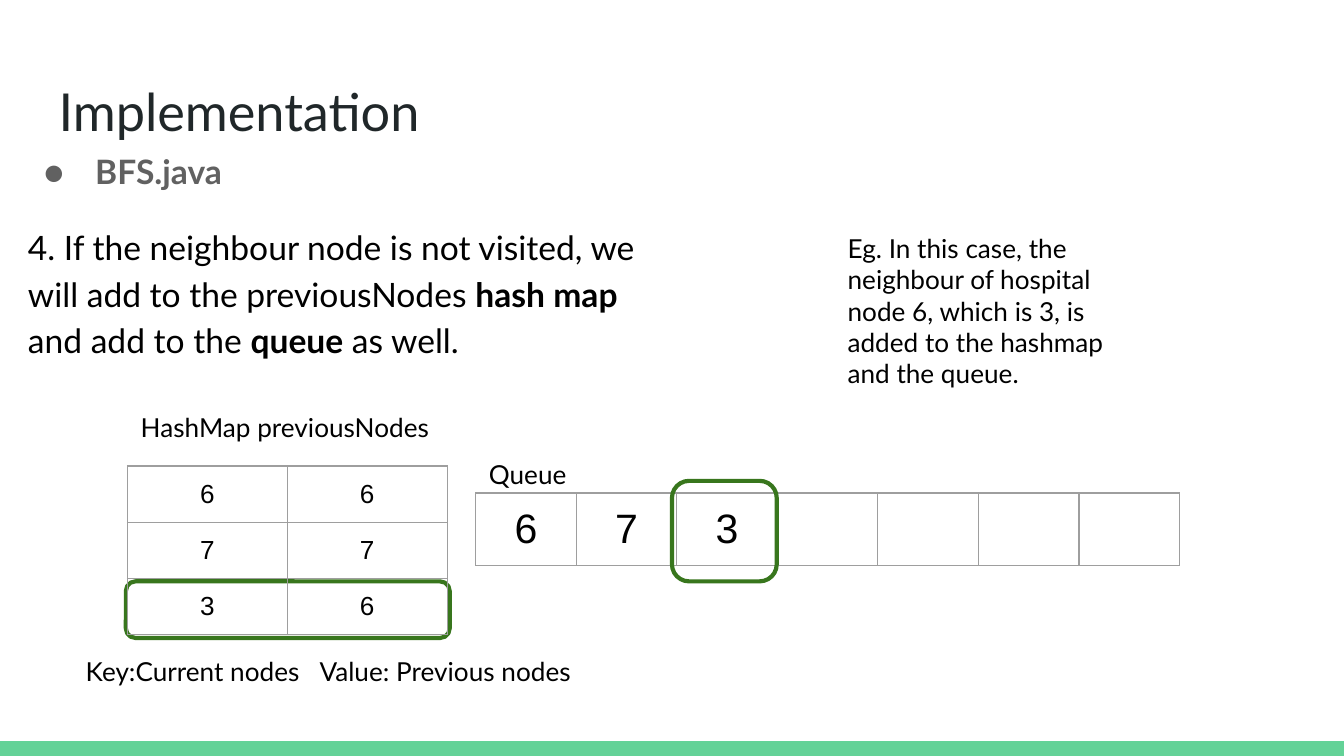
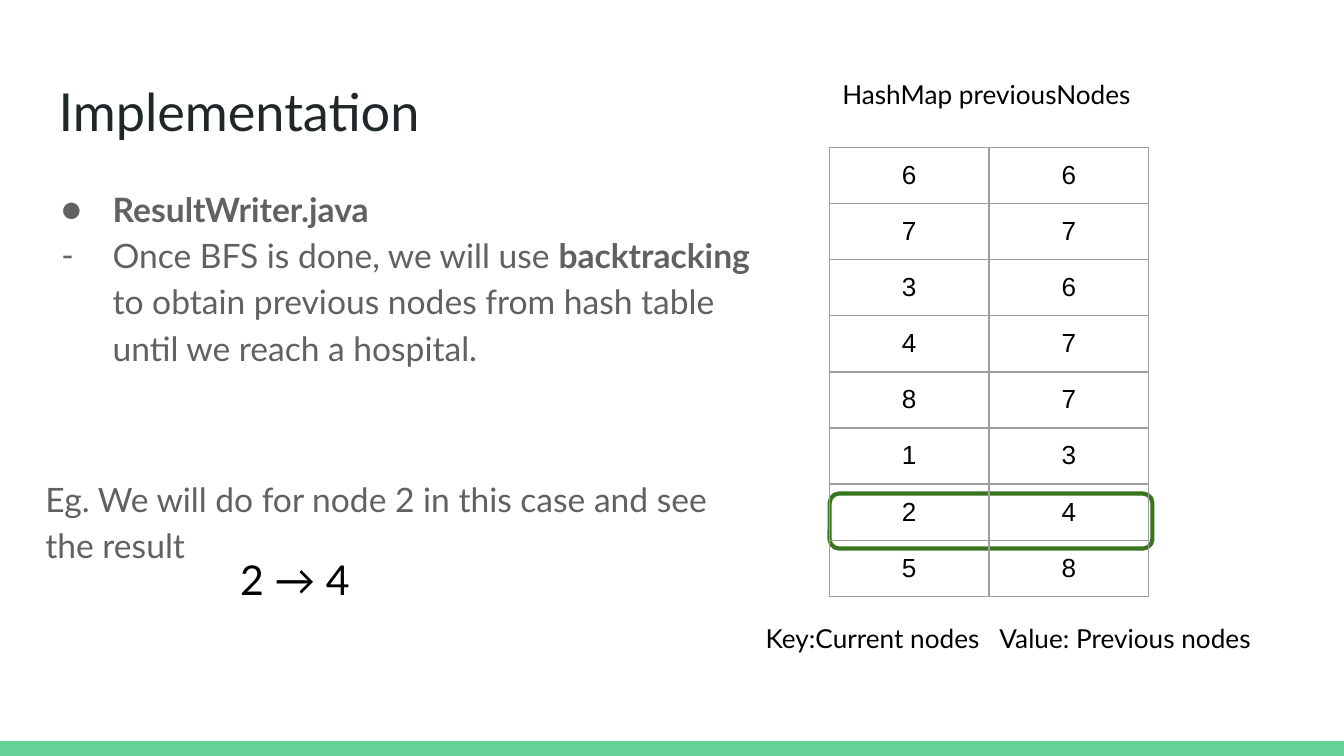
from dataclasses import dataclass
from typing import Any

from lxml import etree
from pptx import Presentation
from pptx import util as u
from pptx.dml.color import RGBColor
from pptx.enum import shapes, text
from pptx.oxml import ns

COLORS = {
    "bar": "63D297",
    "title": "202729",
    "body": "616161",
    "ink": "000000",
    "grid": "9E9E9E",
    "mark": "38761D",
}
BODY_FONT, TABLE_FONT = "Lato", "Arial"
SLIDE_W, SLIDE_H, BAR_H = 25.4, 14.29, 0.28
INSET = u.Cm(0.25)
FRAME = {
    "word_wrap": True,
    "auto_size": text.MSO_AUTO_SIZE.NONE,
    "vertical_anchor": text.MSO_ANCHOR.TOP,
    "margin_left": INSET,
    "margin_right": INSET,
    "margin_top": INSET,
    "margin_bottom": INSET,
}
CELL = {k: v for k, v in FRAME.items() if k.startswith("margin") or k == "vertical_anchor"}
PAIR_COL, PAIR_ROW = 3.02, 1.06


@dataclass(frozen=True)
class Box:
    x: float
    y: float
    w: float
    h: float

    def lengths(self) -> list[u.Length]:
        return [u.Cm(v) for v in (self.x, self.y, self.w, self.h)]


@dataclass(frozen=True)
class Para:
    words: str
    color: str = "ink"
    bullet: str = ""
    before: float = 0


@dataclass(frozen=True)
class TextBlock:
    box: Box
    paras: tuple[Para, ...]
    size: float = 14
    spacing: float = 1.0


@dataclass(frozen=True)
class Grid:
    x: float
    y: float
    col_w: float
    row_h: float
    rows: tuple[str, ...]
    size: float = 14


@dataclass(frozen=True)
class Mark:
    box: Box


@dataclass(frozen=True)
class Page:
    title: Box
    items: tuple[TextBlock | Grid | Mark, ...]


def rgb(name: str) -> RGBColor:
    return RGBColor.from_string(COLORS[name])


def apply(target: Any, values: dict[str, Any]) -> None:
    for name, value in values.items():
        setattr(target, name, value)


def set_font(font: Any, size: float, color: str, name: str = BODY_FONT, bold: bool = False) -> None:
    apply(font, {"size": u.Pt(size), "name": name, "bold": bold})
    font.color.rgb = rgb(color)


def place(sp: Any, box: Box) -> None:
    apply(sp, dict(zip(("left", "top", "width", "height"), box.lengths())))


def add_bullet(p: Any, char: str, color: str) -> None:
    pPr = p._p.get_or_add_pPr()
    pPr.set("marL", str(u.Cm(1.27)))
    pPr.set("indent", str(u.Cm(-0.97)))
    clr = etree.SubElement(pPr, ns.qn("a:buClr"))
    etree.SubElement(clr, ns.qn("a:srgbClr"), val=COLORS[color])
    etree.SubElement(pPr, ns.qn("a:buFont"), typeface=BODY_FONT)
    etree.SubElement(pPr, ns.qn("a:buChar"), char=char)


def add_text(s: Any, block: TextBlock) -> None:
    tf = s.shapes.add_textbox(*block.box.lengths()).text_frame
    apply(tf, FRAME)
    for i, para in enumerate(block.paras):
        p = tf.add_paragraph() if i else tf.paragraphs[0]
        if para.bullet:
            add_bullet(p, para.bullet, para.color)
        apply(p, {"line_spacing": block.spacing, "space_before": u.Pt(para.before)})
        for j, part in enumerate(para.words.split("**")):
            if part:
                r = p.add_run()
                r.text = part
                set_font(r.font, block.size, para.color, bold=j % 2 == 1)


def add_borders(cell: Any) -> None:
    tcPr = cell._tc.get_or_add_tcPr()
    for side in ("lnL", "lnR", "lnT", "lnB"):
        ln = etree.SubElement(tcPr, ns.qn(f"a:{side}"), w=str(u.Pt(0.75)))
        fill = etree.SubElement(ln, ns.qn("a:solidFill"))
        etree.SubElement(fill, ns.qn("a:srgbClr"), val=COLORS["grid"])


def add_grid(s: Any, grid: Grid) -> None:
    rows = [row.split("|") for row in grid.rows]
    n_rows, n_cols = len(rows), len(rows[0])
    box = Box(grid.x, grid.y, grid.col_w * n_cols, grid.row_h * n_rows)
    table = s.shapes.add_table(n_rows, n_cols, *box.lengths()).table
    apply(table, {"first_row": False, "horz_banding": False})
    for col in table.columns:
        col.width = u.Cm(grid.col_w)
    for row, values in zip(table.rows, rows):
        row.height = u.Cm(grid.row_h)
        for cell, value in zip(row.cells, values):
            apply(cell, CELL)
            add_borders(cell)
            cell.fill.background()
            p = cell.text_frame.paragraphs[0]
            p.alignment = text.PP_ALIGN.CENTER
            if value:
                r = p.add_run()
                r.text = value
                set_font(r.font, grid.size, "ink", TABLE_FONT)


def add_mark(s: Any, mark: Mark) -> None:
    sp = s.shapes.add_shape(shapes.MSO_SHAPE.ROUNDED_RECTANGLE, *mark.box.lengths())
    sp.shadow.inherit = False
    sp.adjustments[0] = 0.17
    sp.fill.background()
    sp.line.color.rgb = rgb("mark")
    sp.line.width = u.Pt(2.25)


def add_title(s: Any, box: Box) -> None:
    sp = s.shapes.title
    place(sp, box)
    tf = sp.text_frame
    apply(tf, FRAME)
    p = tf.paragraphs[0]
    p.alignment = text.PP_ALIGN.LEFT
    r = p.add_run()
    r.text = "Implementation"
    set_font(r.font, 28, "title")


def add_layout_bar(s: Any) -> None:
    box = Box(0, SLIDE_H - BAR_H, SLIDE_W, BAR_H)
    sp = s.shapes.add_shape(shapes.MSO_SHAPE.RECTANGLE, *box.lengths())
    sp.shadow.inherit = False
    sp.fill.solid()
    sp.fill.fore_color.rgb = rgb("bar")
    sp.line.fill.background()
    s.slide_layout.shapes._spTree.append(sp._element)


def label(words: str, x: float, y: float, w: float, h: float, size: float = 14) -> TextBlock:
    return TextBlock(Box(x, y, w, h), (Para(words),), size)


def captions(x: float, y: float) -> tuple[TextBlock, ...]:
    return (
        label("Key:Current nodes", x, y, 4.57, 1.57),
        label("Value: Previous nodes", x + 4.42, y, 6.5, 1.17),
    )


def map_grid(x: float, y: float, *rows: str) -> Grid:
    return Grid(x, y, PAIR_COL, PAIR_ROW, rows)


PAGES = (
    Page(
        Box(0.86, 1.24, 8.3, 1.6),
        (
            TextBlock(
                Box(0.28, 2.49, 12.5, 4.29),
                (
                    Para("**BFS.java**", "body", "●"),
                    Para(
                        "4. If the neighbour node is not visited, we will add to the "
                        "previousNodes **hash map** and add to the **queue** as well.",
                        before=16,
                    ),
                ),
                18,
                1.15,
            ),
            label("HashMap previousNodes", 2.41, 7.52, 7.19, 1.27),
            Grid(8.99, 9.32, 1.9, 1.37, ("6|7|3||||",), 22),
            label("Queue", 8.99, 8.41, 6.22, 0.79),
            Mark(Box(2.38, 10.99, 6.12, 1.07)),
            Mark(Box(12.7, 9.09, 1.98, 1.9)),
            label(
                "Eg. In this case, the neighbour of hospital node 6, which is 3, "
                "is added to the hashmap and the queue.",
                15.77, 4.14, 5.74, 4.29,
            ),
            map_grid(2.41, 8.81, "6|6", "7|7", "3|6"),
            *captions(1.37, 12.14),
        ),
    ),
    Page(
        Box(0.86, 1.24, 7.95, 1.6),
        (
            TextBlock(
                Box(0.61, 3.2, 14.02, 9.5),
                (
                    Para("**ResultWriter.java**", "body", "●"),
                    Para(
                        "Once BFS is done, we will use **backtracking** to obtain previous "
                        "nodes from hash table until we reach a hospital.",
                        "body",
                        "-",
                    ),
                    Para(
                        "Eg. We will do for node 2 in this case and see the result",
                        "body",
                        before=56,
                    ),
                ),
                18,
                1.15,
            ),
            label("HashMap previousNodes", 15.67, 1.24, 7.77, 1.27),
            Mark(Box(15.68, 9.33, 6.1, 1.04)),
            map_grid(15.67, 2.79, "6|6", "7|7", "3|6", "4|7", "8|7", "1|3", "2|4", "5|8"),
            label("2 → 4", 4.29, 10.24, 9.65, 1.27, 22),
            *captions(14.22, 11.51),
        ),
    ),
)
DRAW = {TextBlock: add_text, Grid: add_grid, Mark: add_mark}


def main() -> None:
    prs = Presentation()
    apply(prs, {"slide_width": u.Cm(SLIDE_W), "slide_height": u.Cm(SLIDE_H)})
    layout = prs.slide_layouts[5]
    for i, page in enumerate(PAGES):
        s = prs.slides.add_slide(layout)
        if i == 0:
            add_layout_bar(s)
        add_title(s, page.title)
        for item in page.items:
            DRAW[type(item)](s, item)
    prs.save("out.pptx")


if __name__ == "__main__":
    main()
